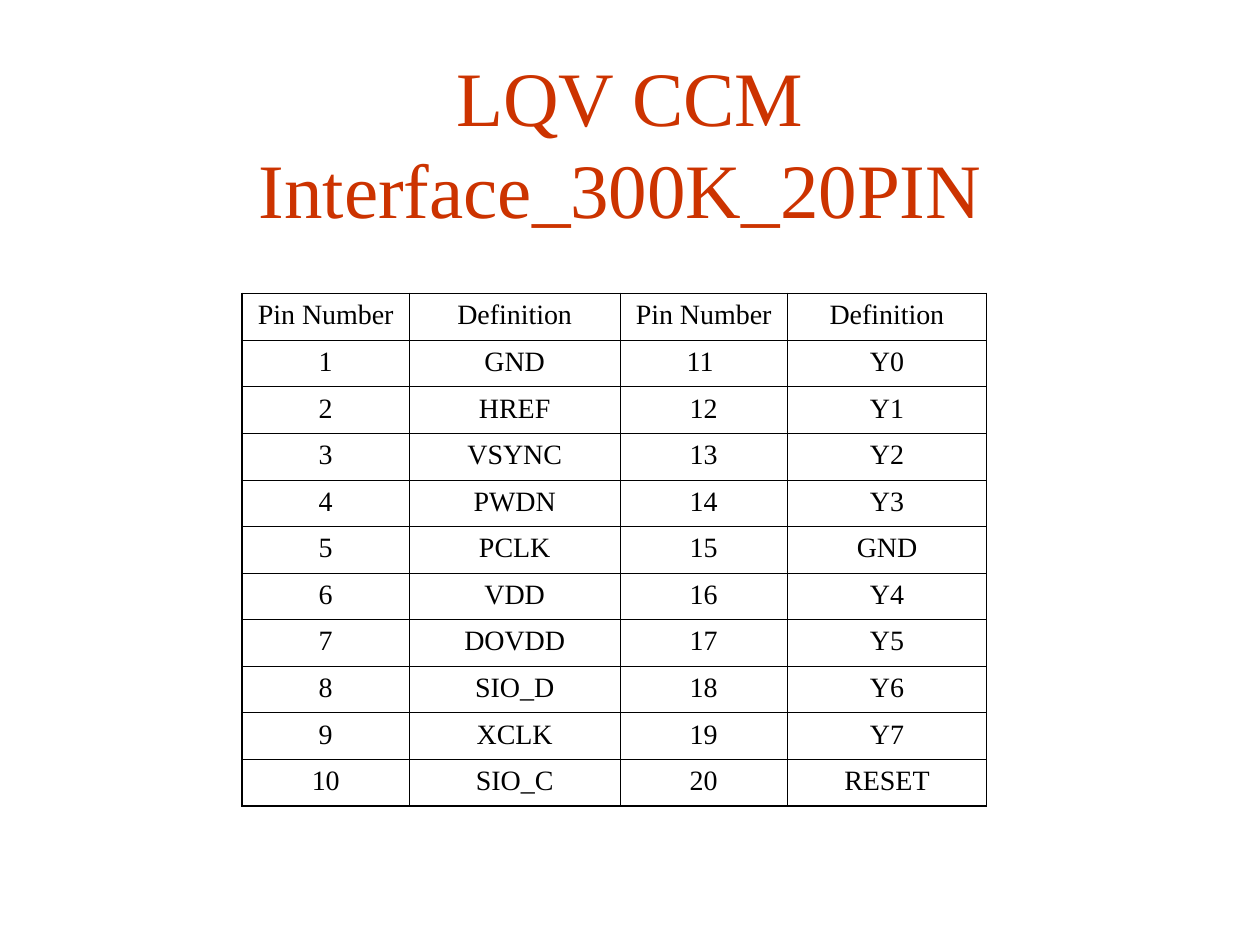
from dataclasses import dataclass

from lxml.etree import SubElement
from pptx import Presentation
from pptx.dml.color import RGBColor
from pptx.enum.text import MSO_ANCHOR, MSO_AUTO_SIZE, PP_ALIGN
from pptx.oxml.ns import qn
from pptx.slide import Slide
from pptx.table import Table, _Cell
from pptx.text.text import TextFrame
from pptx.util import Inches, Pt


@dataclass(frozen=True)
class Theme:
    font: str = "Times New Roman"
    title_color: str = "CC3300"
    ink: str = "000000"
    title_size: float = 44
    cell_size: float = 16
    cell_space_before: float = 4
    inner_line: float = 0.45
    outer_line: float = 1.08


@dataclass(frozen=True)
class Pin:
    number: str
    definition: str


THEME = Theme()
TITLE = "LQV CCM Interface_300K_20PIN "
HEADINGS = ("Pin Number", "Definition")
DEFINITIONS = (
    "GND", "HREF", "VSYNC", "PWDN", "PCLK", "VDD", "DOVDD", "SIO_D", "XCLK", "SIO_C",
    "Y0", "Y1", "Y2", "Y3", "GND", "Y4", "Y5", "Y6", "Y7", "RESET",
)
# Pin 11 carries a trailing space
PINS = [Pin("11 " if number == 11 else str(number), definition)
        for number, definition in enumerate(DEFINITIONS, start=1)]
COLUMN_WIDTHS = (1.33, 1.67, 1.33, 1.58)
TABLE_LEFT, TABLE_TOP, ROW_HEIGHT = 1.92, 2.33, 0.37


def write_text(frame: TextFrame, text: str, *, size: float, color: str,
               space_before: float = 0) -> None:
    """Put one centred, formatted paragraph in a text frame."""
    paragraph = frame.paragraphs[0]
    paragraph.alignment = PP_ALIGN.CENTER
    paragraph.space_before = Pt(space_before)
    run = paragraph.add_run()
    run.text = text
    run.font.name = THEME.font
    run.font.size = Pt(size)
    run.font.color.rgb = RGBColor.from_string(color)


def set_borders(cell: _Cell, outer_sides: dict[str, bool]) -> None:
    """Rule each side of a cell, heavier where it is the table's edge."""
    properties = cell._tc.get_or_add_tcPr()
    for position, (side, is_outer) in enumerate(outer_sides.items()):
        width = THEME.outer_line if is_outer else THEME.inner_line
        line = SubElement(properties, qn(f"a:ln{side}"), w=str(Pt(width)))
        fill = SubElement(line, qn("a:solidFill"))
        SubElement(fill, qn("a:srgbClr"), val=THEME.ink)
        properties.insert(position, line)


def add_title(slide: Slide) -> None:
    title = slide.shapes.title
    title.left, title.top = Inches(0.75), Inches(0.5)
    title.width, title.height = Inches(8.5), Inches(1.25)
    frame = title.text_frame
    frame.word_wrap = True
    frame.auto_size = MSO_AUTO_SIZE.NONE
    frame.vertical_anchor = MSO_ANCHOR.MIDDLE
    write_text(frame, TITLE, size=THEME.title_size, color=THEME.title_color)


def add_pin_table(slide: Slide, pins: list[Pin]) -> Table:
    # The second half of the pins stands beside the first
    half = len(pins) // 2
    rows = [HEADINGS * 2] + [
        (left.number, left.definition, right.number, right.definition)
        for left, right in zip(pins[:half], pins[half:])
    ]
    last_row, last_column = len(rows) - 1, len(COLUMN_WIDTHS) - 1
    table = slide.shapes.add_table(
        len(rows), len(COLUMN_WIDTHS), Inches(TABLE_LEFT), Inches(TABLE_TOP),
        Inches(sum(COLUMN_WIDTHS)), Inches(ROW_HEIGHT * len(rows)),
    ).table
    table.first_row = table.horz_banding = False
    for column, width in zip(table.columns, COLUMN_WIDTHS):
        column.width = Inches(width)

    for r, values in enumerate(rows):
        for c, value in enumerate(values):
            cell = table.cell(r, c)
            cell.fill.background()
            write_text(cell.text_frame, value, size=THEME.cell_size, color=THEME.ink,
                       space_before=THEME.cell_space_before)
            set_borders(cell, {"L": c == 0, "R": c == last_column,
                               "T": r == 0, "B": r == last_row})
    return table


def main() -> None:
    presentation = Presentation()
    presentation.slide_width, presentation.slide_height = Inches(10), Inches(7.5)
    # Title Only layout
    slide = presentation.slides.add_slide(presentation.slide_layouts[5])
    add_title(slide)
    add_pin_table(slide, PINS)
    presentation.save("out.pptx")


if __name__ == "__main__":
    main()
